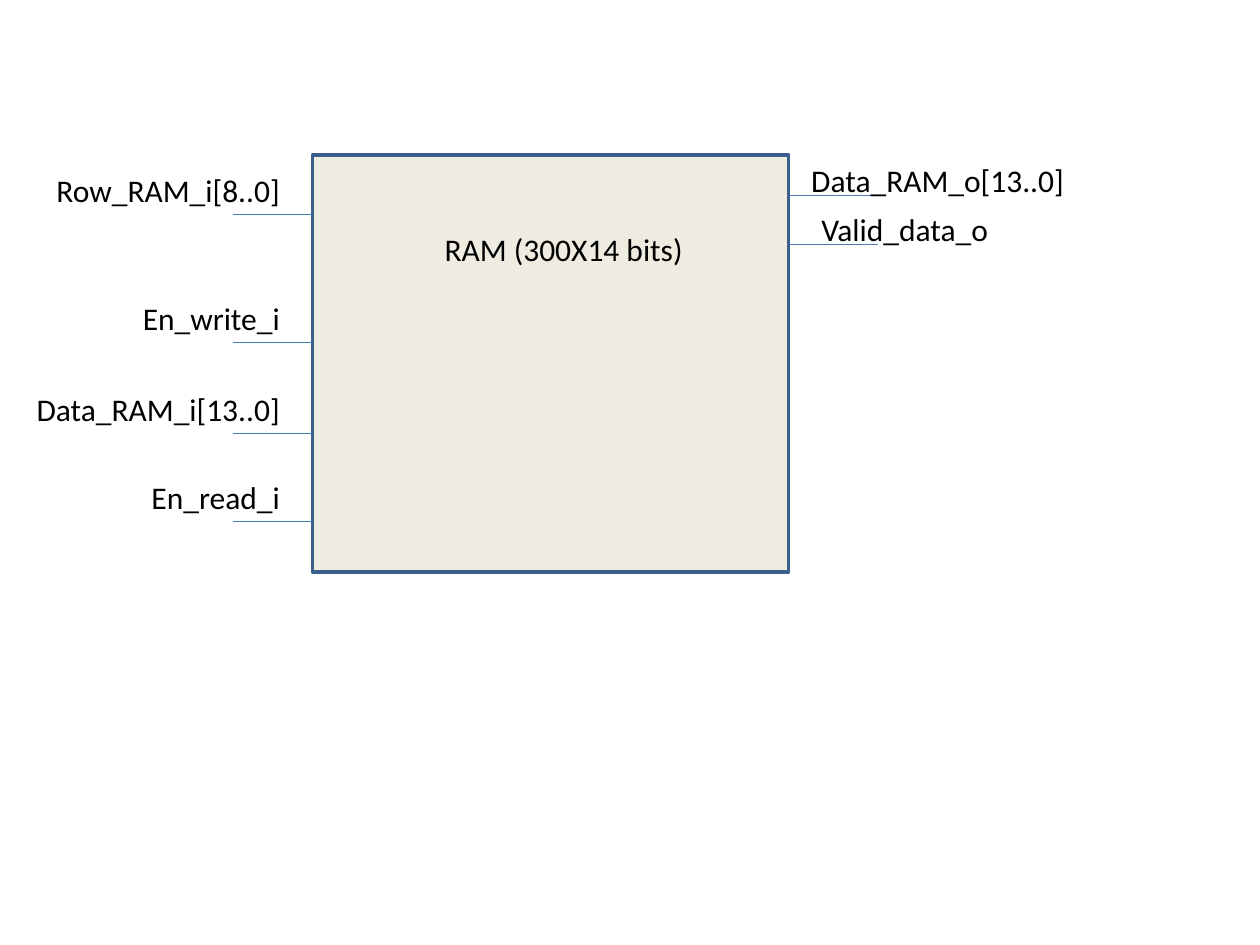
from dataclasses import dataclass

from lxml import etree
from pptx import Presentation, util as u
from pptx.dml.color import RGBColor
from pptx.enum import shapes, text
from pptx.oxml.ns import qn

COLUMNS, ROWS = 100, 75  # grid laid over the slide


@dataclass(frozen=True)
class Theme:
    font: str = "Calibri"
    label_size: float = 18
    ink: str = "000000"
    block_fill: str = "EEECE1"
    block_line: str = "3A5F8C"
    block_line_width: float = 2
    wire: str = "4B7EBC"
    wire_width: float = 0.75


@dataclass(frozen=True)
class Box:
    column: float
    row: float
    columns: float
    rows: float


@dataclass(frozen=True)
class Port:
    name: str
    wire_row: float
    label: Box
    is_input: bool


THEME = Theme()
LABEL_ROWS = 4
INPUT_WIRE, OUTPUT_WIRE = 6.3, 7.1
BLOCK = Box(24.8, 12.3, 37.8, 33.1)
TITLE = Box(34.3, 17.8, 45.7, LABEL_ROWS)


def input_port(name: str, wire_row: float) -> Port:
    label = Box(1.2, wire_row - 3.95, 22, LABEL_ROWS)
    return Port(name, wire_row, label, True)


def output_port(name: str, wire_row: float, column: float, columns: float) -> Port:
    label = Box(column, wire_row - 3.2, columns, LABEL_ROWS)
    return Port(name, wire_row, label, False)


PORTS = (
    input_port("Row_RAM_i[8..0]", 17),
    input_port("En_write_i", 27.2),
    input_port("Data_RAM_i[13..0]", 34.4),
    input_port("En_read_i", 41.4),
    output_port("Data_RAM_o[13..0]", 15.5, 63.4, 23.6),
    output_port("Valid_data_o", 19.4, 64.2, 18.1),
)


class Diagram:
    def __init__(self, prs) -> None:
        self.shapes = prs.slides.add_slide(prs.slide_layouts[6]).shapes
        self.column = prs.slide_width / COLUMNS
        self.row = prs.slide_height / ROWS

    def point(self, column: float, row: float) -> tuple[int, int]:
        return round(column * self.column), round(row * self.row)

    def place(self, box: Box) -> tuple[int, int, int, int]:
        return self.point(box.column, box.row) + self.point(box.columns, box.rows)

    def block(self, box: Box) -> None:
        body = self.shapes.add_shape(shapes.MSO_SHAPE.RECTANGLE, *self.place(box))
        body.shadow.inherit = False
        body.fill.solid()
        body.fill.fore_color.rgb = RGBColor.from_string(THEME.block_fill)
        body.line.color.rgb = RGBColor.from_string(THEME.block_line)
        body.line.width = u.Pt(THEME.block_line_width)

    def label(self, words: str, box: Box, align=text.PP_ALIGN.LEFT) -> None:
        frame = self.shapes.add_textbox(*self.place(box)).text_frame
        frame.word_wrap = True
        frame.auto_size = text.MSO_AUTO_SIZE.SHAPE_TO_FIT_TEXT
        paragraph = frame.paragraphs[0]
        paragraph.alignment = align
        run = paragraph.add_run()
        run.text = words
        font_format = {"name": THEME.font, "size": u.Pt(THEME.label_size)}
        for attribute, value in font_format.items():
            setattr(run.font, attribute, value)
        run.font.color.rgb = RGBColor.from_string(THEME.ink)

    def wire(self, start: float, end: float, row: float) -> None:
        wire = self.shapes.add_connector(
            shapes.MSO_CONNECTOR.STRAIGHT, *self.point(start, row), *self.point(end, row)
        )
        wire.line.color.rgb = RGBColor.from_string(THEME.wire)
        wire.line.width = u.Pt(THEME.wire_width)
        etree.SubElement(wire._element.spPr, qn("a:effectLst"))

    def port(self, port: Port) -> None:
        """Draw the wire that meets the block's side, and its signal name."""
        if port.is_input:
            end = BLOCK.column
            start, align = end - INPUT_WIRE, text.PP_ALIGN.RIGHT
        else:
            start = BLOCK.column + BLOCK.columns
            end, align = start + OUTPUT_WIRE, text.PP_ALIGN.LEFT
        self.wire(start, end, port.wire_row)
        self.label(port.name, port.label, align)


def main() -> None:
    prs = Presentation()
    prs.slide_width, prs.slide_height = u.Inches(10), u.Inches(7.5)
    diagram = Diagram(prs)
    diagram.block(BLOCK)
    diagram.label("RAM (300X14 bits)", TITLE)
    for port in PORTS:
        diagram.port(port)
    prs.save("out.pptx")


if __name__ == "__main__":
    main()
